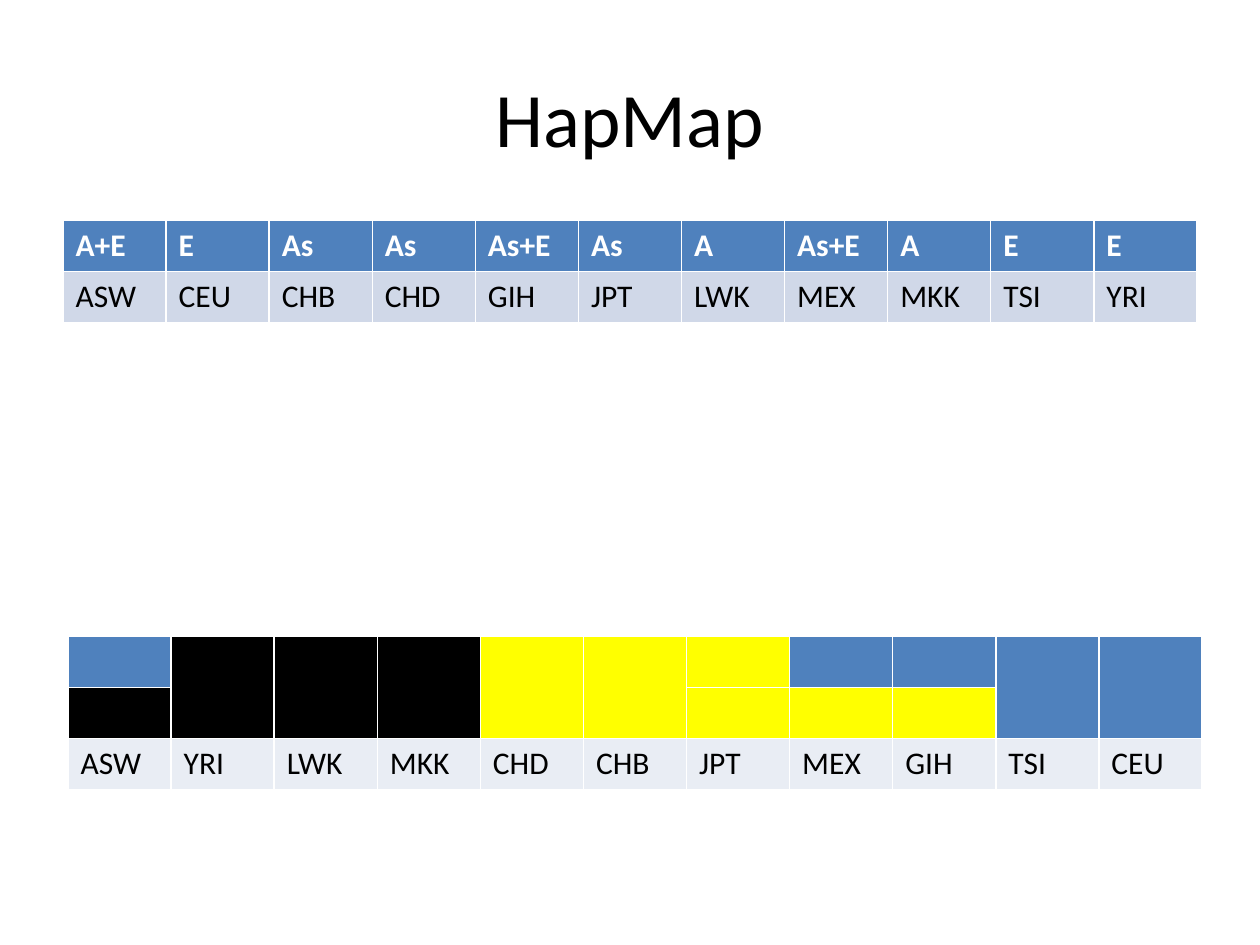
from pptx import Presentation
from pptx.dml.color import RGBColor
from pptx.enum.text import MSO_ANCHOR, PP_ALIGN
from pptx.util import Inches, Pt

CENTER, MIDDLE = PP_ALIGN.CENTER, MSO_ANCHOR.MIDDLE
TITLE_ONLY = 5
BLUE, BLACK, YELLOW, WHITE = "4F81BD", "000000", "FFFF00", "FFFFFF"
BAND_DARK, BAND_LIGHT = "D0D8E8", "E9EDF4"
TABLE_WIDTH, ROW_HEIGHT = 9, 0.405


def write(frame, text, size=18, color=BLACK, bold=False, align=None):
    paragraph = frame.paragraphs[0]
    paragraph.alignment = align
    run = paragraph.add_run()
    run.text = text
    run.font.name = "Calibri"
    run.font.size = Pt(size)
    run.font.bold = bold
    run.font.color.rgb = RGBColor.from_string(color)


def fill(cell, color):
    cell.fill.solid()
    cell.fill.fore_color.rgb = RGBColor.from_string(color)


prs = Presentation()
prs.slide_width, prs.slide_height = Inches(10), Inches(7.5)
slide = prs.slides.add_slide(prs.slide_layouts[TITLE_ONLY])

title = slide.shapes.title
title.left, title.top = Inches(0.5), Inches(0.3)
title.width, title.height = Inches(9), Inches(1.25)
title.text_frame.vertical_anchor = MIDDLE
write(title.text_frame, "HapMap", size=44, align=CENTER)

# Ancestry code above each population
ancestries = [
    ("A+E", "ASW"), ("E", "CEU"), ("As", "CHB"), ("As", "CHD"),
    ("As+E", "GIH"), ("As", "JPT"), ("A", "LWK"), ("As+E", "MEX"),
    ("A", "MKK"), ("E", "TSI"), ("E", "YRI"),
]
codes = slide.shapes.add_table(
    2, len(ancestries), Inches(0.5), Inches(1.75),
    Inches(TABLE_WIDTH), Inches(2 * ROW_HEIGHT)).table
for col, (ancestry, population) in enumerate(ancestries):
    header, label = codes.cell(0, col), codes.cell(1, col)
    fill(header, BLUE)
    write(header.text_frame, ancestry, color=WHITE, bold=True)
    fill(label, BAND_DARK)
    write(label.text_frame, population)

# Colour blocks: two colours split the block, one colour merges both rows
blocks = [
    ("ASW", BLUE, BLACK), ("YRI", BLACK), ("LWK", BLACK), ("MKK", BLACK),
    ("CHD", YELLOW), ("CHB", YELLOW), ("JPT", YELLOW, YELLOW),
    ("MEX", BLUE, YELLOW), ("GIH", BLUE, YELLOW), ("TSI", BLUE), ("CEU", BLUE),
]
groups = slide.shapes.add_table(
    3, len(blocks), Inches(0.54), Inches(5.05),
    Inches(TABLE_WIDTH), Inches(3 * ROW_HEIGHT)).table
for col, (population, *colors) in enumerate(blocks):
    for row, color in enumerate(colors):
        fill(groups.cell(row, col), color)
    if len(colors) == 1:
        groups.cell(0, col).merge(groups.cell(1, col))
    label = groups.cell(2, col)
    fill(label, BAND_LIGHT)
    write(label.text_frame, population)

prs.save("out.pptx")
